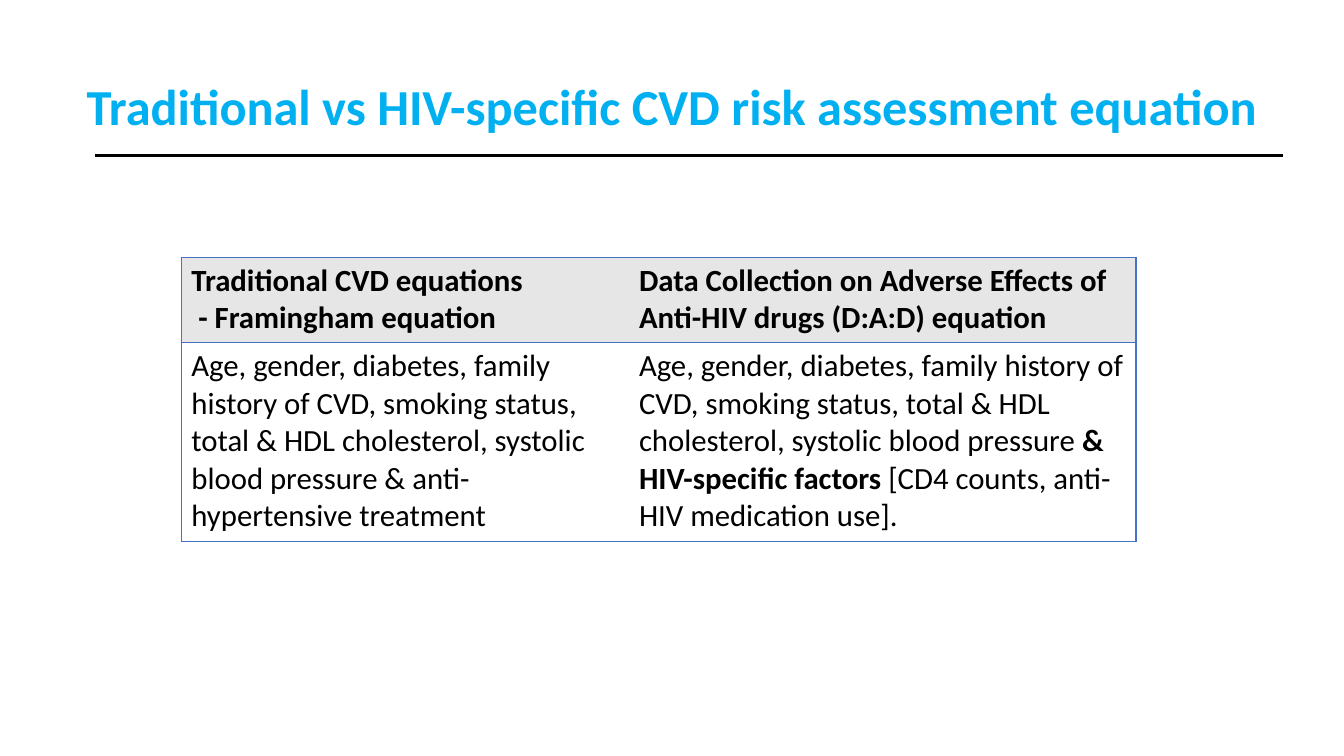
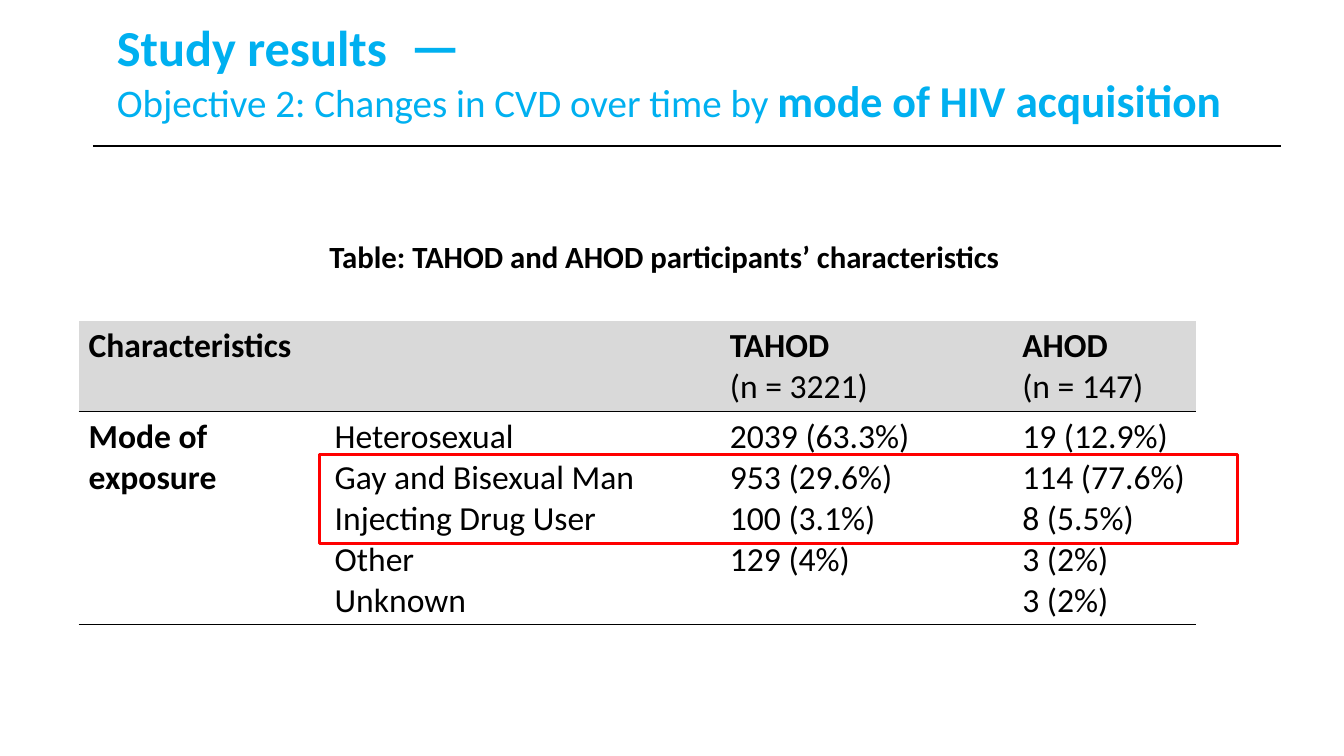
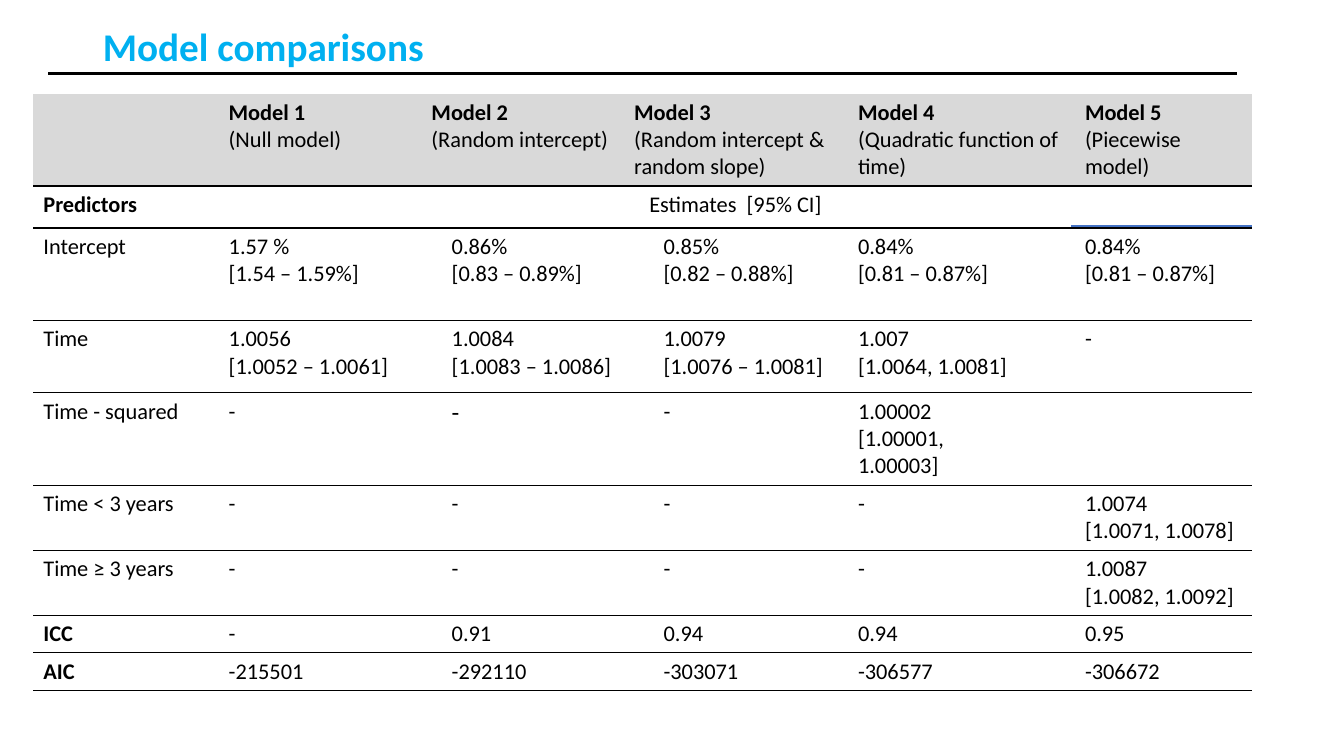
from dataclasses import dataclass

from lxml import etree
from pptx import Presentation
from pptx import util as u
from pptx.dml.color import RGBColor
from pptx.enum import shapes, text
from pptx.oxml import ns


@dataclass(frozen=True)
class Theme:
    font: str = "Calibri"
    sky: str = "00B0F0"
    ink: str = "000000"
    blue: str = "4472C4"
    red: str = "FF0000"
    pale: str = "E7E6E6"
    grey: str = "D9D9D9"
    white: str = "FFFFFF"
    head: float = 36
    sub: float = 28
    large: float = 24
    body: float = 22
    small: float = 16


look = Theme()


def write(frame, lines, size=look.body, color=look.ink, bold=False, align=None, space=None):
    frame.word_wrap = True
    for i, line in enumerate(lines):
        para = frame.paragraphs[0] if i == 0 else frame.add_paragraph()
        para.alignment = align
        para.line_spacing = space
        if isinstance(line, str):
            line = [(part, size, bold or n % 2 == 1) for n, part in enumerate(line.split("*")) if part]
        for words, points, strong in line:
            run = para.add_run()
            run.text = words
            run.font.name = look.font
            run.font.size = u.Pt(points)
            run.font.bold = strong
            run.font.color.rgb = RGBColor.from_string(color)


def grid(slide, left, top, cols, rows, cells, size, fill, line, closed=False):
    frame = slide.shapes.add_table(
        len(rows), len(cols), u.Cm(left), u.Cm(top), u.Cm(sum(cols)), u.Cm(sum(rows)))
    table = frame.table
    table.first_row = table.horz_banding = False
    for c, width in enumerate(cols):
        table.columns[c].width = u.Cm(width)
    for r, height in enumerate(rows):
        table.rows[r].height = u.Cm(height)
        for c, words in enumerate(cells[r]):
            cell = table.cell(r, c)
            sides = {
                "a:lnL": closed and c == 0,
                "a:lnR": closed and c == len(cols) - 1,
                "a:lnT": closed or r > 0,
                "a:lnB": True,
            }
            props = cell._tc.get_or_add_tcPr()
            for side, shown in sides.items():
                edge = etree.SubElement(props, ns.qn(side), w=str(u.Pt(1)))
                if shown:
                    paint = etree.SubElement(edge, ns.qn("a:solidFill"))
                    etree.SubElement(paint, ns.qn("a:srgbClr"), val=line)
                else:
                    etree.SubElement(edge, ns.qn("a:noFill"))
            cell.fill.solid()
            cell.fill.fore_color.rgb = RGBColor.from_string(look.white if r else fill)
            if words:
                write(cell.text_frame, words.split("\n"), size=size)
        start = 0
        for c in range(1, len(cols) + 1):
            if c == len(cols) or cells[r][c] is not None:
                if c - start > 1:
                    table.cell(r, start).merge(table.cell(r, c - 1))
                start = c
    return table


deck = Presentation()
deck.slide_width, deck.slide_height = u.Cm(33.87), u.Cm(19.05)

study = [
    [("Study results  ", look.head, True), ("—", 39.6, True)],
    [("Objective 2: Changes in CVD over time by ", 27.9, False),
     ("mode of HIV ", 31.5, True), ("acquisition", 32.4, True)],
]
heads = [
    (1.93, 0.91, 31.55, look.head, ["Traditional vs HIV-specific CVD risk assessment equation"]),
    (2.69, 0, 29.21, look.head, study),
    (2.34, -0.61, 29.21, look.sub, ["Model comparisons"]),
]
slides = []
for left, top, width, size, lines in heads:
    slide = deck.slides.add_slide(deck.slide_layouts[5])
    title = slide.shapes.title
    title.left, title.top, title.width, title.height = map(u.Cm, (left, top, width, 3.68))
    frame = title.text_frame
    frame.auto_size = text.MSO_AUTO_SIZE.NONE
    frame.vertical_anchor = text.MSO_ANCHOR.MIDDLE
    write(frame, lines, size=size, color=look.sky, bold=True, align=text.PP_ALIGN.LEFT, space=0.9)
    slides.append(slide)
risk, modes, models = slides

factors = [
    ["*Traditional CVD equations*\n* - Framingham equation*",
     "*Data Collection on Adverse Effects of Anti-HIV drugs (D:A:D) equation*"],
    ["Age, gender, diabetes, family history of CVD, smoking status, total & HDL cholesterol, "
     "systolic blood pressure & anti-hypertensive treatment",
     "Age, gender, diabetes, family history of CVD, smoking status, total & HDL cholesterol, "
     "systolic blood pressure *& HIV-specific factors* [CD4 counts, anti-HIV medication use]."],
]
grid(risk, 4.57, 6.48, [11.28, 12.78], [2.15, 5.02], factors,
     look.body, look.pale, look.blue, closed=True)

label = modes.shapes.add_textbox(u.Cm(8.05), u.Cm(5.87), u.Cm(17.78), u.Cm(1.19))
write(label.text_frame, ["Table: TAHOD and AHOD participants’ characteristics"], bold=True)
groups = [
    ["*Characteristics*", "", "*TAHOD*\n(n = 3221)", "*AHOD*\n(n = 147)"],
    ["*Mode of exposure*",
     "Heterosexual\nGay and Bisexual Man\nInjecting Drug User\nOther\nUnknown",
     "2039 (63.3%)\n953 (29.6%)\n100 (3.1%)\n129 (4%)",
     "19 (12.9%)\n114 (77.6%)\n8 (5.5%)\n3 (2%)\n3 (2%)"],
]
grid(modes, 1.98, 8.08, [6.2, 9.96, 7.37, 4.62], [2.26, 5.36], groups,
     look.large, look.grey, look.ink)
box = modes.shapes.add_shape(
    shapes.MSO_SHAPE.RECTANGLE, u.Cm(8.05), u.Cm(11.46), u.Cm(23.14), u.Cm(2.24))
box.shadow.inherit = False
box.fill.background()
box.line.color.rgb = RGBColor.from_string(look.red)
box.line.width = u.Pt(2)

fits = [
    ["", "*Model 1*\n(Null model)", "*Model 2*\n(Random intercept)", None,
     "*Model 3*\n(Random intercept & random slope)", None,
     "*Model 4*\n(Quadratic function of time)", "*Model 5*\n(Piecewise model)"],
    ["*Predictors*", "Estimates  [95% CI]"] + [None] * 6,
]
values = [
    ["Intercept", "1.57 %\n[1.54 – 1.59%]", "0.86%\n[0.83 – 0.89%]", "0.85%\n[0.82 – 0.88%]",
     "0.84%\n[0.81 – 0.87%]", "0.84%\n[0.81 – 0.87%]"],
    ["Time", "1.0056\n[1.0052 – 1.0061]", "1.0084\n[1.0083 – 1.0086]",
     "1.0079\n[1.0076 – 1.0081]", "1.007\n[1.0064, 1.0081]", "-"],
    ["Time - squared", "-", "-", "-", "1.00002\n[1.00001,\n1.00003]", ""],
    ["Time < 3 years", "-", "-", "-", "-", "1.0074\n[1.0071, 1.0078]"],
    ["Time ≥ 3 years", "-", "-", "-", "-", "1.0087\n[1.0082, 1.0092]"],
    ["*ICC*", "-", "0.91", "0.94", "0.94", "0.95"],
    ["*AIC*", "-215501", "-292110", "-303071", "-306577", "-306672"],
]
for name, first, second, *rest in values:
    fits.append([name, first, None, second, None, *rest])
table = grid(models, 0.84, 2.36, [4.67, 5.11, 0.51, 4.6, 0.74, 4.9, 5.72, 4.47],
             [2.3, 1.06, 2.33, 1.82, 2.33, 1.64, 1.64, 0.94, 0.94], fits,
             look.small, look.grey, look.ink)
table.cell(1, 1).text_frame.paragraphs[0].alignment = text.PP_ALIGN.CENTER
table.cell(4, 3).text_frame.paragraphs[0].runs[0].font.size = u.Pt(18)

rules = [
    (risk, 2.39, 3.91, 29.95, look.ink, 2),
    (modes, 2.34, 3.68, 29.95, look.ink, 2),
    (models, 1.22, 1.85, 29.95, look.ink, 2),
    (models, 27, 5.69, 4.55, look.blue, 1.75),
]
for slide, left, top, width, color, points in rules:
    rule = slide.shapes.add_connector(
        shapes.MSO_CONNECTOR.STRAIGHT, u.Cm(left), u.Cm(top), u.Cm(left + width), u.Cm(top))
    rule.line.color.rgb = RGBColor.from_string(color)
    rule.line.width = u.Pt(points)
    etree.SubElement(rule._element.spPr, ns.qn("a:effectLst"))

deck.save("out.pptx")
